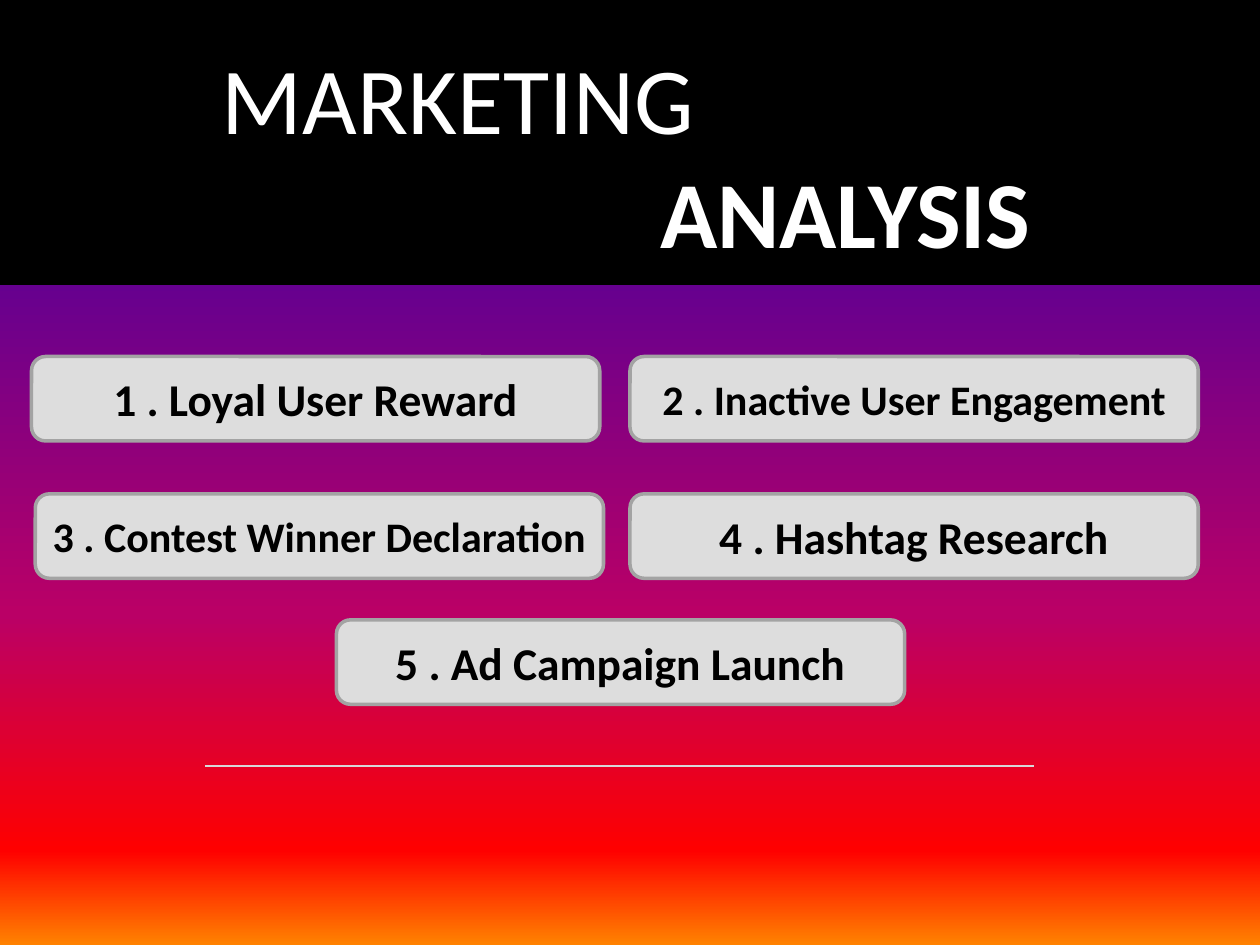
from dataclasses import dataclass

from lxml import etree
from pptx import Presentation
from pptx.dml.color import RGBColor
from pptx.enum.shapes import MSO_CONNECTOR, MSO_SHAPE
from pptx.enum.text import MSO_ANCHOR, MSO_AUTO_SIZE, PP_ALIGN
from pptx.oxml.ns import qn
from pptx.util import Inches, Pt

RECTANGLE, ROUNDED = MSO_SHAPE.RECTANGLE, MSO_SHAPE.ROUNDED_RECTANGLE
STRAIGHT = MSO_CONNECTOR.STRAIGHT
LEFT, CENTER = PP_ALIGN.LEFT, PP_ALIGN.CENTER
TOP, MIDDLE = MSO_ANCHOR.TOP, MSO_ANCHOR.MIDDLE
NO_AUTOFIT = MSO_AUTO_SIZE.NONE


@dataclass(frozen=True)
class Theme:
    font: str = "Calibri"
    band: str = "000000"
    heading: str = "FFFFFF"
    label: str = "000000"
    card: str = "DDDDDD"
    card_border: str = "A3A3A3"
    divider: str = "D8D8D8"
    sunset: tuple = (
        (0, "000082"), (30, "66008F"), (65, "BA0066"),
        (90, "FF0000"), (100, "FF8200"),
    )
    heading_size: int = 54
    label_size: int = 26
    long_label_size: int = 24
    border_width: float = 2
    divider_width: float = 0.75


@dataclass(frozen=True)
class Topic:
    label: str
    left: float
    top: float
    size: int


THEME = Theme()
CARD_WIDTH, CARD_HEIGHT = 4.51, 0.67
RIGHT_COLUMN = 5
ROWS = (2.83, 3.92, 4.92)
TOPICS = (
    Topic("1 . Loyal User Reward", 0.25, ROWS[0], THEME.label_size),
    Topic("2 . Inactive User Engagement", RIGHT_COLUMN, ROWS[0], THEME.long_label_size),
    Topic("3 . Contest Winner Declaration", 0.28, ROWS[1], THEME.long_label_size),
    Topic("4 . Hashtag Research", RIGHT_COLUMN, ROWS[1], THEME.label_size),
    Topic("5 . Ad Campaign Launch", 2.67, ROWS[2], THEME.label_size),
)


def write(paragraph, text: str, *, size: float, color: str, bold: bool = False,
          align=LEFT, indent: float = 0) -> None:
    paragraph.alignment = align
    if indent:
        properties = paragraph._p.get_or_add_pPr()
        properties.set("marL", str(Inches(indent)))
        properties.set("indent", "0")
    run = paragraph.add_run()
    run.text = text
    run.font.name = THEME.font
    run.font.size = Pt(size)
    run.font.bold = bold
    run.font.color.rgb = RGBColor.from_string(color)


def add_panel(slide, preset, left: float, top: float, width: float, height: float,
              fill: str, border: str):
    panel = slide.shapes.add_shape(
        preset, Inches(left), Inches(top), Inches(width), Inches(height))
    panel.shadow.inherit = False
    panel.fill.solid()
    panel.fill.fore_color.rgb = RGBColor.from_string(fill)
    panel.line.color.rgb = RGBColor.from_string(border)
    panel.line.width = Pt(THEME.border_width)
    return panel


def paint_background(slide) -> None:
    fill = slide.background.fill
    fill.gradient()
    fill.gradient_angle = 270
    stops = slide.element.find(".//" + qn("a:gsLst"))
    for stop in list(stops):
        stops.remove(stop)
    for percent, color in THEME.sunset:
        stop = etree.SubElement(stops, qn("a:gs"), pos=str(percent * 1000))
        etree.SubElement(stop, qn("a:srgbClr"), val=color)


def add_heading(slide) -> None:
    band = add_panel(slide, RECTANGLE, 0, 0, 10, 2.25, THEME.band, THEME.band)
    title = slide.shapes.title
    title.element.addprevious(band.element)
    title.left, title.top = Inches(0.62), Inches(0.27)
    title.width, title.height = Inches(8.75), Inches(1.92)
    frame = title.text_frame
    frame.auto_size = NO_AUTOFIT
    frame.vertical_anchor = TOP
    write(frame.paragraphs[0], "MARKETING", size=THEME.heading_size,
          color=THEME.heading, indent=1.04)
    write(frame.add_paragraph(), "ANALYSIS", size=THEME.heading_size,
          color=THEME.heading, bold=True, indent=4.52)


def add_divider(slide) -> None:
    divider = slide.shapes.add_connector(
        STRAIGHT, Inches(1.63), Inches(6.08), Inches(8.21), Inches(6.08))
    divider.line.color.rgb = RGBColor.from_string(THEME.divider)
    divider.line.width = Pt(THEME.divider_width)
    etree.SubElement(divider.element.spPr, qn("a:effectLst"))


def add_topic(slide, topic: Topic) -> None:
    card = add_panel(slide, ROUNDED, topic.left, topic.top, CARD_WIDTH, CARD_HEIGHT,
                     THEME.card, THEME.card_border)
    frame = card.text_frame
    frame.word_wrap = True
    frame.vertical_anchor = MIDDLE
    write(frame.paragraphs[0], topic.label, size=topic.size, color=THEME.label,
          bold=True, align=CENTER)


def main() -> None:
    presentation = Presentation()
    presentation.slide_width, presentation.slide_height = Inches(10), Inches(7.5)
    slide = presentation.slides.add_slide(presentation.slide_layouts[5])
    paint_background(slide)
    add_heading(slide)
    add_divider(slide)
    for topic in TOPICS:
        add_topic(slide, topic)
    presentation.save("out.pptx")


if __name__ == "__main__":
    main()
